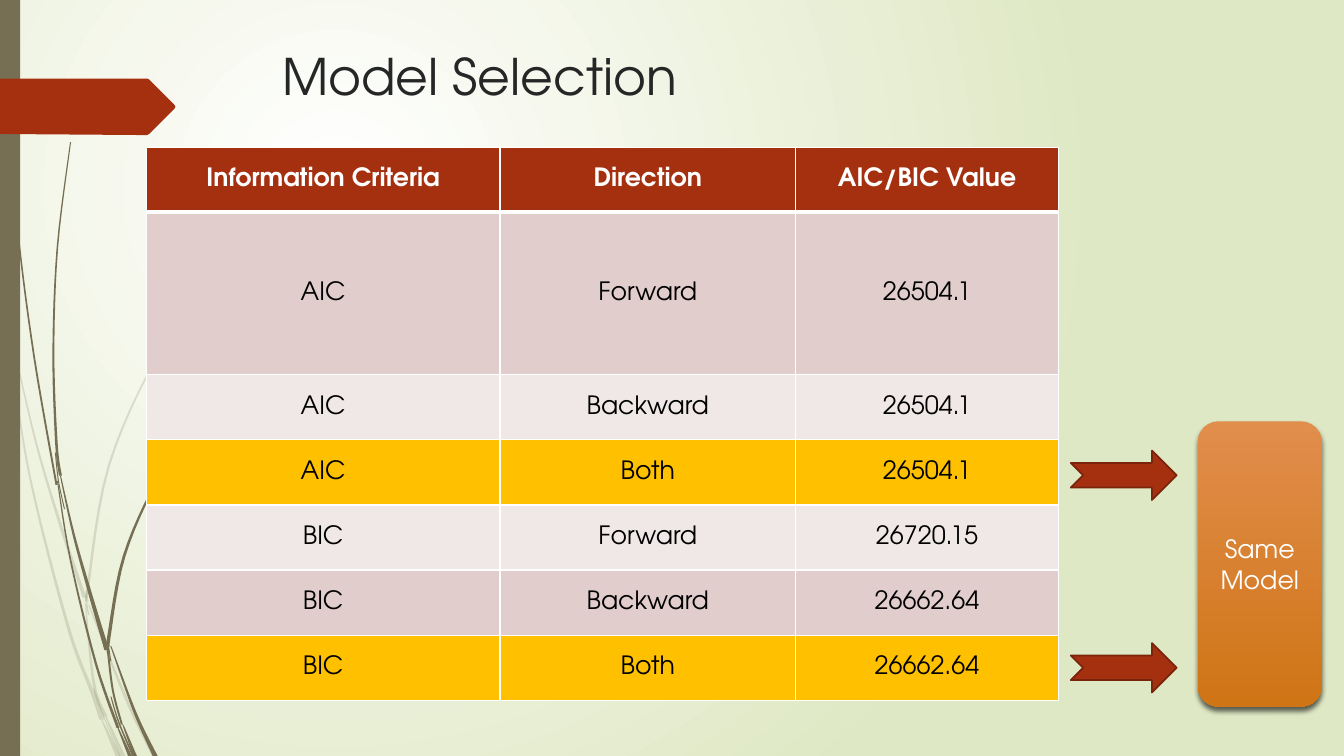
from lxml.etree import SubElement
from pptx import Presentation
from pptx.dml.color import RGBColor
from pptx.enum.shapes import MSO_SHAPE
from pptx.enum.text import MSO_ANCHOR, PP_ALIGN
from pptx.oxml import parse_xml
from pptx.oxml.ns import nsdecls, qn
from pptx.util import Inches, Pt

FONT = "TeX Gyre Adventor"
RED, OLIVE, GOLD, WHITE = "A53010", "766F54", "FFC000", "FFFFFF"
ROSE, PALE = "E1CDCC", "F0E8E7"


def color(value):
    return RGBColor.from_string(value)


def write_text(frame, text, size=18, fill="000000", bold=False,
               align=PP_ALIGN.CENTER, anchor=MSO_ANCHOR.MIDDLE):
    frame.word_wrap = True
    frame.vertical_anchor = anchor
    frame.text = text
    for paragraph in frame.paragraphs:
        paragraph.alignment = align
        font = paragraph.runs[0].font
        font.name, font.size, font.bold = FONT, Pt(size), bold
        font.color.rgb = color(fill)


presentation = Presentation()
presentation.slide_width, presentation.slide_height = Inches(13.33), Inches(7.5)
slide = presentation.slides.add_slide(presentation.slide_layouts[6])
shapes = slide.shapes

# Background: circular gradient, white towards the upper left
background = slide.background.fill
background.gradient()
for stop, value in zip(background.gradient_stops, (WHITE, "DFE8C4")):
    stop.color.rgb = color(value)
gradient = slide.element.find(".//" + qn("a:gradFill"))
gradient.replace(gradient.find(qn("a:lin")), parse_xml(
    f'<a:path {nsdecls("a")} path="circle">'
    '<a:fillToRect l="50000" t="50000" r="100000" b="100000"/></a:path>'))

# Grass stems: width at the start and at the end, then the centre line
faint_stems = [
    (0.06, 0.01, [(0.01, 2.9), (0.06, 3.2), (0.11, 3.5)]),
    (0.01, 0.04, [(0.15, 3.5), (0.36, 4.4), (0.6, 5.21), (0.84, 5.93)]),
    (0.01, 0.05, [(0.88, 6), (1.25, 6.93), (1.53, 7.5)]),
    (0.01, 0.05, [(1.05, 7.11), (1.22, 7.5)]),
    (0.01, 0.05, [(0.11, 3.5), (0.29, 4.7), (0.67, 6.2), (0.92, 6.88), (1.01, 7.14)]),
    (0.01, 0.04, [(0.85, 5.99), (0.89, 6.46), (0.95, 6.87), (1.05, 7.11)]),
    (0.01, 0.03, [(3.12, 1.53), (2.28, 2.45), (1.59, 3.48), (1.08, 4.62),
                  (0.87, 5.84), (0.87, 5.96)]),
    (0.01, 0.05, [(1.01, 7.14), (1.17, 7.5)]),
    (0.02, 0.01, [(0.86, 5.86), (0.86, 5.99), (0.88, 6.1)]),
    (0.01, 0.01, [(0.93, 6.83), (1.03, 7.11), (1.19, 7.5)]),
]
solid_stems = [
    (0.01, 0.02, [(0.04, 0), (0.07, 1.1), (0.18, 2.33), (0.34, 3.55), (0.56, 4.81)]),
    (0.01, 0.05, [(0.6, 4.72), (0.73, 5.3), (0.9, 5.91), (1.06, 6.45)]),
    (0.01, 0.05, [(1.1, 6.41), (1.34, 7.07), (1.54, 7.5)]),
    (0.01, 0.03, [(0.57, 4.77), (0.7, 5.56), (0.95, 6.58), (1.17, 7.22)]),
    (0.01, 0.03, [(0.7, 1.41), (0.57, 2.45), (0.53, 3.49), (0.56, 4.4), (0.6, 4.72)]),
    (0.01, 0.04, [(1.22, 7.19), (1.34, 7.5)]),
    (0.01, 0.01, [(0.55, 4.49), (0.58, 4.77), (0.64, 5.05)]),
    (0.01, 0.04, [(2.6, 3.44), (2.04, 4.06), (1.57, 4.75), (1.23, 5.52),
                  (1.08, 6.32), (1.08, 6.41)]),
    (0.01, 0.04, [(1.17, 7.22), (1.29, 7.5)]),
    (0.02, 0.02, [(1.07, 6.45), (1.12, 6.85), (1.21, 7.19)]),
    (0.01, 0.01, [(1.07, 6.31), (1.08, 6.43), (1.1, 6.56)]),
    (0.01, 0.02, [(1.1, 6.91), (1.18, 7.17), (1.32, 7.5)]),
]
STEPS = 6
stems = [(20, *stem) for stem in faint_stems] + [(100, *stem) for stem in solid_stems]
for opacity, start_width, end_width, nodes in stems:
    # Smooth the centre line with a Catmull-Rom spline
    padded = [nodes[0], *nodes, nodes[-1]]
    center = []
    for a, b, c, d in zip(padded, padded[1:], padded[2:], padded[3:]):
        for step in range(STEPS):
            t = step / STEPS
            center.append([
                q + t * (r - p) / 2 + t * t * (2 * p - 5 * q + 4 * r - s) / 2
                + t ** 3 * (3 * q - p - 3 * r + s) / 2
                for p, q, r, s in zip(a, b, c, d)])
    center.append(nodes[-1])
    # Widen it evenly along its length
    growth = (end_width - start_width) / (len(center) - 1)
    halves = [(start_width + growth * i) / 2 for i in range(len(center))]
    left = [(x - half, y) for (x, y), half in zip(center, halves)]
    right = [(x + half, y) for (x, y), half in zip(center, halves)]
    outline = [(Inches(x), Inches(y)) for x, y in left + right[::-1]]
    builder = shapes.build_freeform(*outline[0])
    builder.add_line_segments(outline[1:])
    blade = builder.convert_to_shape()
    blade.shadow.inherit = False
    blade.fill.solid()
    blade.fill.fore_color.rgb = color(OLIVE)
    blade.line.fill.background()
    if opacity < 100:
        tint = blade.element.spPr.find(".//" + qn("a:srgbClr"))
        SubElement(tint, qn("a:alpha"), val=str(opacity * 1000))

# Left bar
bar = shapes.add_shape(MSO_SHAPE.RECTANGLE, 0, 0, Inches(0.2), Inches(7.5))

# Red page marker
marker_points = [(0, 0.78), (1.46, 0.78), (1.48, 0.79), (1.73, 1.04), (1.74, 1.06),
                 (1.73, 1.08), (1.48, 1.33), (1.46, 1.34), (1.36, 1.34), (0, 1.33)]
outline = [(Inches(x), Inches(y)) for x, y in marker_points]
builder = shapes.build_freeform(*outline[0])
builder.add_line_segments(outline[1:])
marker = builder.convert_to_shape()
for shape, fill in ((bar, OLIVE), (marker, RED)):
    shape.shadow.inherit = False
    shape.fill.solid()
    shape.fill.fore_color.rgb = color(fill)
    shape.line.fill.background()

# Title
title = shapes.add_textbox(Inches(2.7), Inches(0.4), Inches(9.75), Inches(1.4))
write_text(title.text_frame, "Model Selection", size=36, fill="262626",
           align=PP_ALIGN.LEFT, anchor=MSO_ANCHOR.TOP)

# Table of criteria
rows = [
    (RED, "Information Criteria", "Direction", "AIC/BIC Value"),
    (ROSE, "AIC", "Forward", "26504.1"),
    (PALE, "AIC", "Backward", "26504.1"),
    (GOLD, "AIC", "Both", "26504.1"),
    (PALE, "BIC", "Forward", "26720.15"),
    (ROSE, "BIC", "Backward", "26662.64"),
    (GOLD, "BIC", "Both", "26662.64"),
]
TABLE_HEIGHT, TALL_ROW = 5.49, 1.61
row_height = (TABLE_HEIGHT - TALL_ROW) / (len(rows) - 1)
table = shapes.add_table(len(rows), 3, Inches(1.45), Inches(1.46),
                         Inches(9.05), Inches(TABLE_HEIGHT)).table
for column, width in zip(table.columns, (3.51, 2.93, 2.61)):
    column.width = Inches(width)
for row_index, (fill, *texts) in enumerate(rows):
    header = row_index == 0
    table.rows[row_index].height = Inches(TALL_ROW if row_index == 1 else row_height)
    for column_index, text in enumerate(texts):
        cell = table.cell(row_index, column_index)
        cell.fill.solid()
        cell.fill.fore_color.rgb = color(fill)
        write_text(cell.text_frame, text, fill=WHITE if header else "000000", bold=header)
        cell.vertical_anchor = MSO_ANCHOR.MIDDLE
        properties = cell._tc.get_or_add_tcPr()
        for position, side in enumerate("LRTB"):
            thick = (row_index, side) in ((0, "B"), (1, "T"))
            properties.insert(position, parse_xml(
                f'<a:ln{side} {nsdecls("a")} w="{Pt(3 if thick else 1)}"><a:solidFill>'
                f'<a:srgbClr val="{WHITE}"/></a:solidFill></a:ln{side}>'))

# Arrows from the highlighted rows
for top in (4.47, 6.38):
    arrow = shapes.add_shape(MSO_SHAPE.NOTCHED_RIGHT_ARROW, Inches(10.62), Inches(top),
                             Inches(1.05), Inches(0.49))
    arrow.shadow.inherit = False
    arrow.fill.solid()
    arrow.fill.fore_color.rgb = color(RED)
    arrow.line.color.rgb = color("7A240C")
    arrow.line.width = Pt(1.25)

# Conclusion box
conclusion = shapes.add_shape(MSO_SHAPE.ROUNDED_RECTANGLE, Inches(11.88), Inches(4.18),
                              Inches(1.23), Inches(2.83))
conclusion.fill.gradient()
conclusion.fill.gradient_angle = 270
for stop, value in zip(conclusion.fill.gradient_stops, ("E18D4C", "CF7516")):
    stop.color.rgb = color(value)
conclusion.line.fill.background()
conclusion.shadow.inherit = False
conclusion.element.spPr.find(qn("a:effectLst")).append(parse_xml(
    f'<a:outerShdw {nsdecls("a")} blurRad="{Pt(4)}" dist="{Pt(3)}" dir="5400000" '
    'rotWithShape="0"><a:srgbClr val="000000"><a:alpha val="60000"/></a:srgbClr>'
    '</a:outerShdw>'))
write_text(conclusion.text_frame, "Same\nModel", fill=WHITE)

presentation.save("out.pptx")
